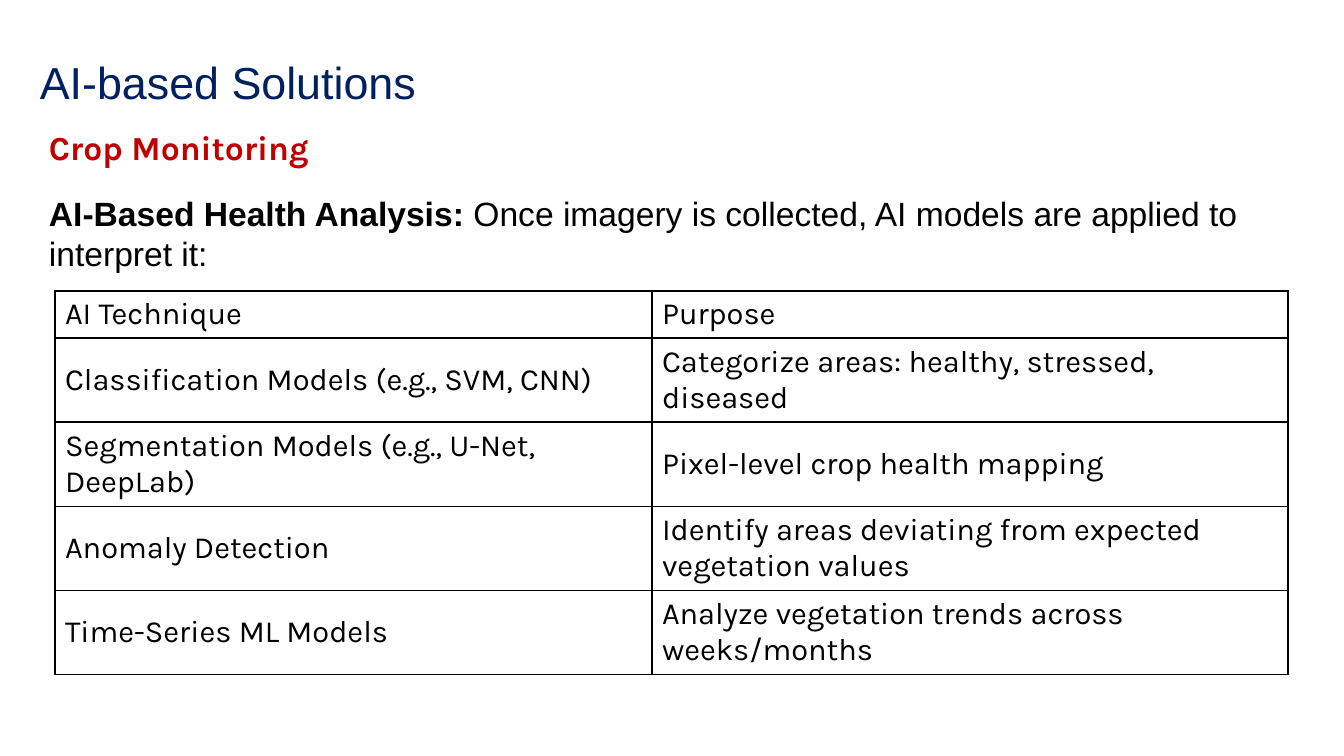
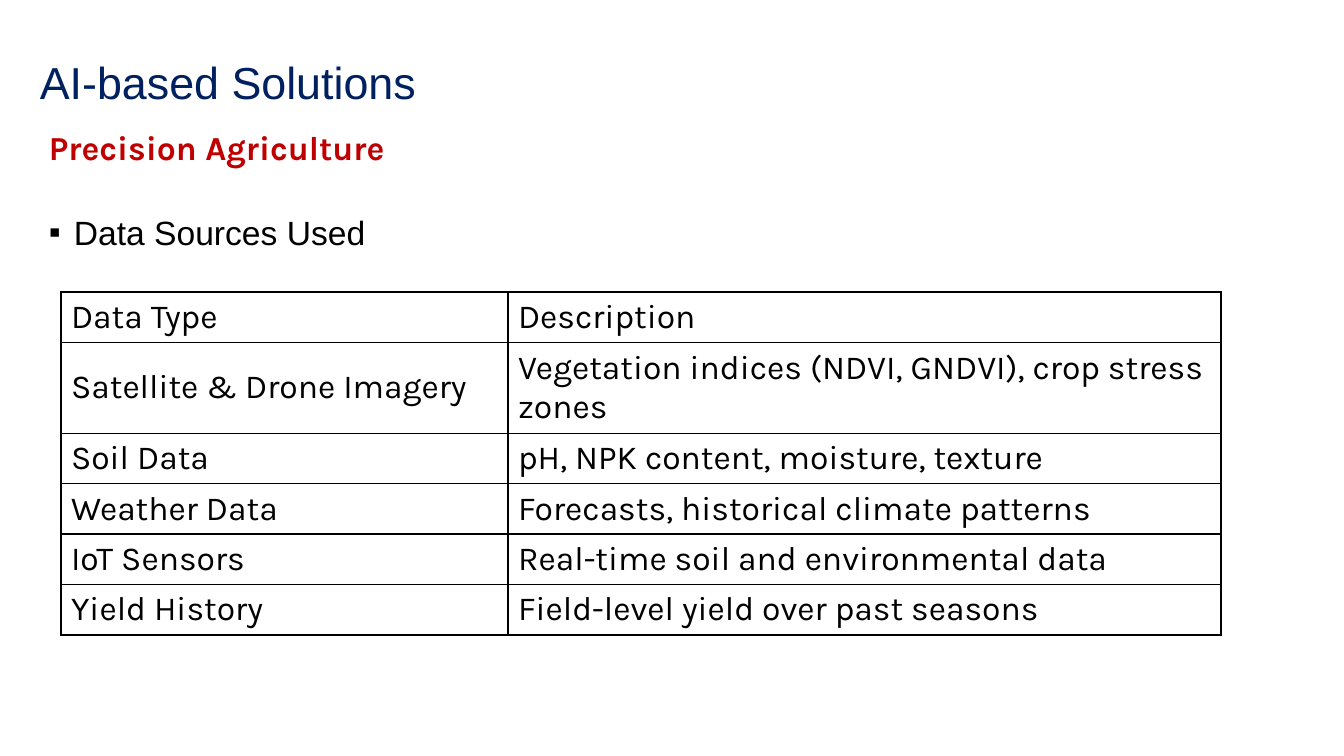
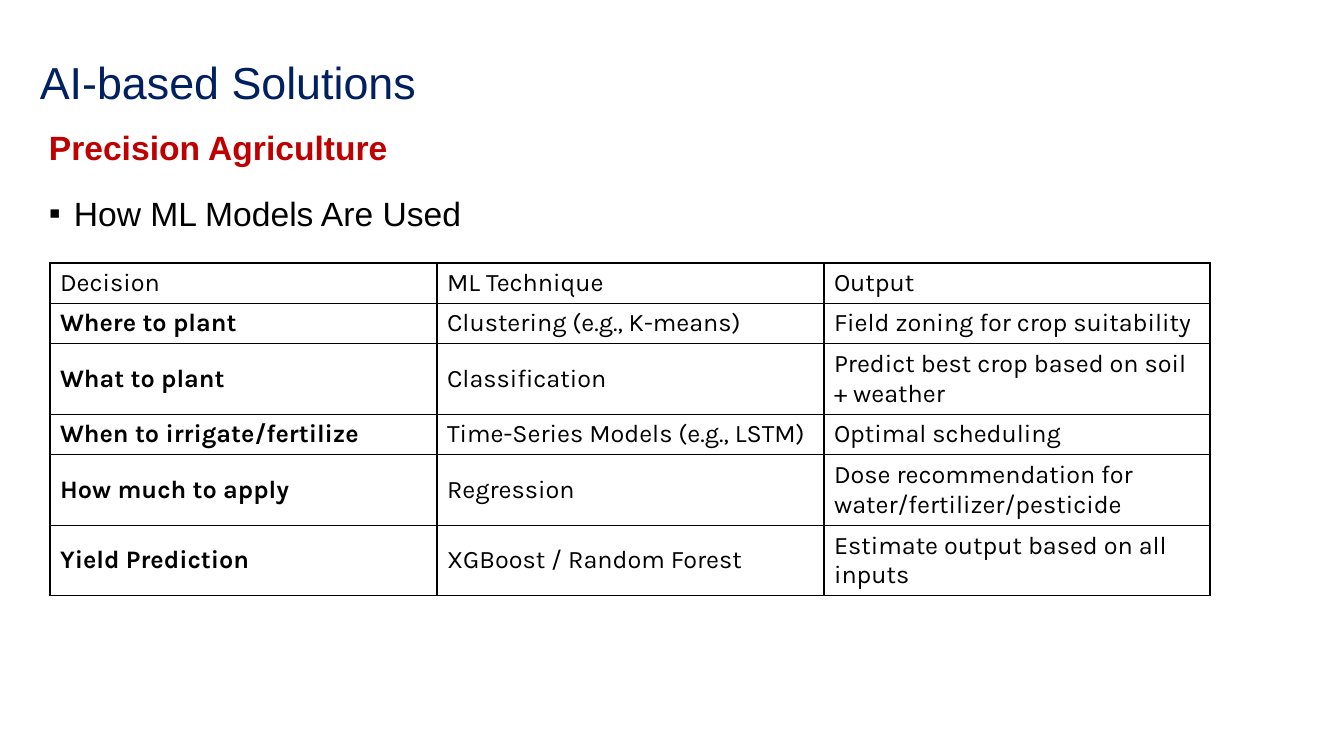
from lxml import etree
from pptx import Presentation
from pptx.dml.color import RGBColor
from pptx.enum.text import MSO_ANCHOR
from pptx.oxml.ns import qn
from pptx.util import Pt

EMU_PER_PX = 914400 / 100.8
COLORS = {"title": "002060", "topic": "C00000", "text": "000000"}
BODY_FONT, ACCENT_FONT = "Arial", "Karla"
BULLET_INDENT = 25


def px(length):
    return round(length * EMU_PER_PX)


def add_run(paragraph, text, size, color, font=BODY_FONT, bold=False):
    run = paragraph.add_run()
    run.text = text
    run.font.size = Pt(size)
    run.font.name = font
    run.font.bold = bold
    run.font.color.rgb = RGBColor.from_string(COLORS[color])


# Row heights are (one line, two lines); tall_rows lists the two-line rows.
SLIDES = [
    {
        "topic": "Crop Monitoring", "topic_font": ACCENT_FONT,
        "lead": [("AI-Based Health Analysis: ", True),
                 ("Once imagery is collected, AI models are applied to interpret it:", False)],
        "bullet": False, "lead_gap": 18,
        "origin": (55, 291), "columns": [597, 636], "heights": (46, 82),
        "tall_rows": {1, 2, 3, 4}, "size": 22, "bold_labels": False,
        "rows": [
            ("AI Technique", "Purpose"),
            ("Classification Models (e.g., SVM, CNN)",
             "Categorize areas: healthy, stressed, diseased"),
            ("Segmentation Models (e.g., U-Net, DeepLab)", "Pixel-level crop health mapping"),
            ("Anomaly Detection", "Identify areas deviating from expected vegetation values"),
            ("Time-Series ML Models", "Analyze vegetation trends across weeks/months"),
        ],
    },
    {
        "topic": "Precision Agriculture", "topic_font": ACCENT_FONT,
        "lead": [("Data Sources Used", False)],
        "bullet": True, "lead_gap": 32,
        "origin": (61, 292), "columns": [447, 713], "heights": (49, 89),
        "tall_rows": {1}, "size": 24, "bold_labels": False,
        "rows": [
            ("Data Type", "Description"),
            ("Satellite & Drone Imagery", "Vegetation indices (NDVI, GNDVI), crop stress zones"),
            ("Soil Data", "pH, NPK content, moisture, texture"),
            ("Weather Data", "Forecasts, historical climate patterns"),
            ("IoT Sensors", "Real-time soil and environmental data"),
            ("Yield History", "Field-level yield over past seasons"),
        ],
    },
    {
        "topic": "Precision Agriculture", "topic_font": BODY_FONT,
        "lead": [("How ML Models Are Used", False)],
        "bullet": True, "lead_gap": 18,
        "origin": (50, 263), "columns": [387, 387, 386], "heights": (39, 70),
        "tall_rows": {2, 4, 5}, "size": 18, "bold_labels": True,
        "rows": [
            ("Decision", "ML Technique", "Output"),
            ("Where to plant", "Clustering (e.g., K-means)", "Field zoning for crop suitability"),
            ("What to plant", "Classification", "Predict best crop based on soil + weather"),
            ("When to irrigate/fertilize", "Time-Series Models (e.g., LSTM)",
             "Optimal scheduling"),
            ("How much to apply", "Regression",
             "Dose recommendation for water/fertilizer/pesticide"),
            ("Yield Prediction", "XGBoost / Random Forest",
             "Estimate output based on all inputs"),
        ],
    },
]

prs = Presentation()
prs.slide_width, prs.slide_height = px(1344), px(756)

for content in SLIDES:
    slide = prs.slides.add_slide(prs.slide_layouts[6])

    title = slide.shapes.add_textbox(px(30), px(19), px(1278), px(99)).text_frame
    title.word_wrap = True
    title.vertical_anchor = MSO_ANCHOR.MIDDLE
    title.paragraphs[0].line_spacing = 1.5
    add_run(title.paragraphs[0], "AI-based Solutions", 32, "title")

    body = slide.shapes.add_textbox(px(39), px(126), px(1254), px(570)).text_frame
    body.word_wrap = True
    topic = body.paragraphs[0]
    topic.line_spacing = 0.9
    add_run(topic, content["topic"], 24, "topic", content["topic_font"], True)

    lead = body.add_paragraph()
    lead.space_before = Pt(content["lead_gap"])
    if content["bullet"]:
        props = lead._p.get_or_add_pPr()
        props.set("marL", str(px(BULLET_INDENT)))
        props.set("indent", str(-px(BULLET_INDENT)))
        etree.SubElement(props, qn("a:buFont"), typeface=BODY_FONT)
        etree.SubElement(props, qn("a:buChar"), char="▪")
    for text, bold in content["lead"]:
        add_run(lead, text, 24, "text", bold=bold)

    rows, columns = content["rows"], content["columns"]
    heights = [content["heights"][index in content["tall_rows"]] for index in range(len(rows))]
    left, top = content["origin"]
    table = slide.shapes.add_table(len(rows), len(columns), px(left), px(top),
                                   px(sum(columns)), px(sum(heights))).table
    table.first_row = table.horz_banding = False
    for column, width in zip(table.columns, columns):
        column.width = px(width)
    for row_index, (values, height) in enumerate(zip(rows, heights)):
        table.rows[row_index].height = px(height)
        for column_index, value in enumerate(values):
            cell = table.cell(row_index, column_index)
            cell.vertical_anchor = MSO_ANCHOR.MIDDLE
            is_label = content["bold_labels"] and row_index > 0 and column_index == 0
            add_run(cell.text_frame.paragraphs[0], value, content["size"], "text",
                    ACCENT_FONT, is_label)
            cell_props = cell._tc.get_or_add_tcPr()
            for side in ("lnL", "lnR", "lnT", "lnB"):
                border = etree.SubElement(cell_props, qn(f"a:{side}"), w=str(Pt(1)))
                border_fill = etree.SubElement(border, qn("a:solidFill"))
                etree.SubElement(border_fill, qn("a:srgbClr"), val=COLORS["text"])
            cell.fill.background()

prs.save("out.pptx")
